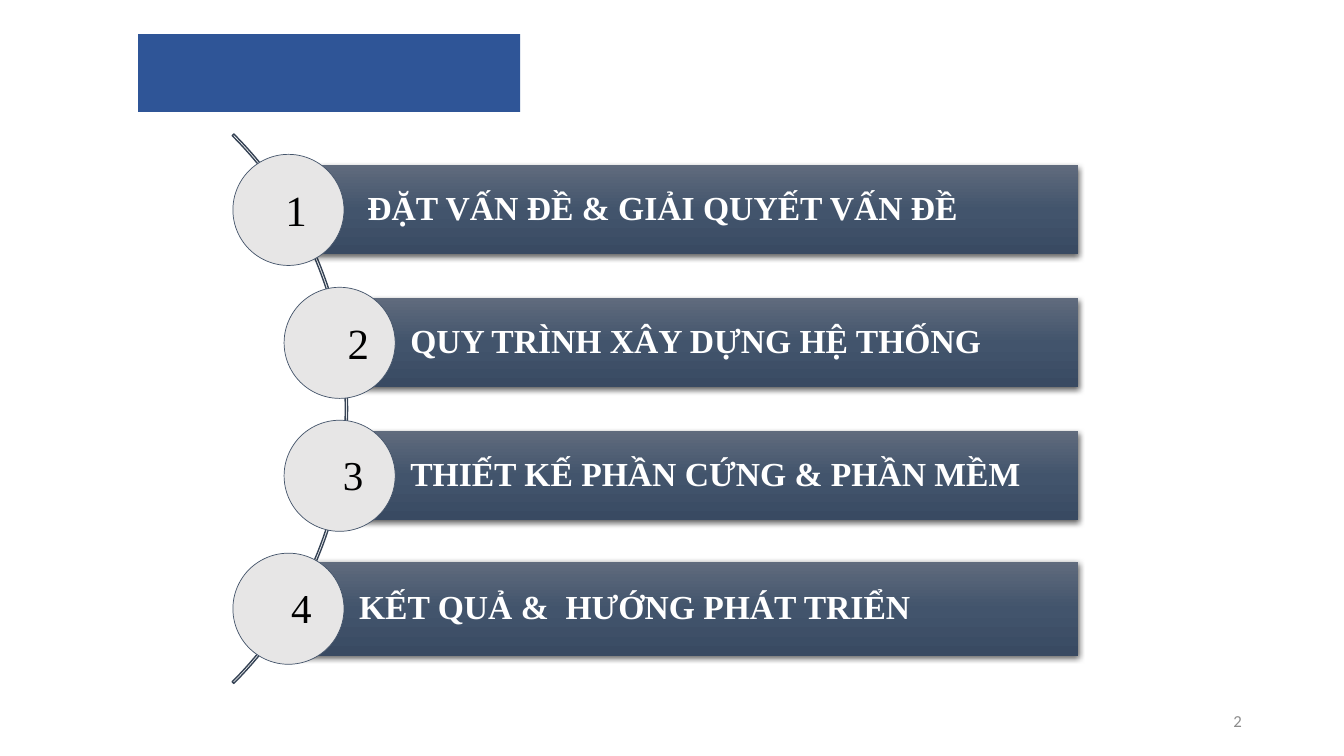
from copy import deepcopy
from dataclasses import dataclass

from lxml.etree import SubElement
from pptx import Presentation
from pptx.dml.color import RGBColor
from pptx.enum.shapes import MSO_SHAPE as Preset
from pptx.enum.text import MSO_ANCHOR as Anchor, PP_ALIGN as Align
from pptx.oxml.ns import qn
from pptx.util import Cm, Pt

AGENDA = [
    dict(number="1", text=" ĐẶT VẤN ĐỀ & GIẢI QUYẾT VẤN ĐỀ", circle_left=5.87,
         bar_height=2.24, number_left=6.86, number_width=1.7, number_size=30.7),
    dict(number="2", text="QUY TRÌNH XÂY DỰNG HỆ THỐNG", circle_left=7.16,
         bar_height=2.24, number_left=8.43, number_width=1.52, number_size=30.7),
    dict(number="3", text="THIẾT KẾ PHẦN CỨNG & PHẦN MỀM", circle_left=7.16,
         bar_height=2.24, number_left=8.31, number_width=1.7, number_size=29.3),
    dict(number="4", text="KẾT QUẢ &  HƯỚNG PHÁT TRIỂN", circle_left=5.87,
         bar_height=2.36, number_left=7.01, number_width=1.3, number_size=29.3),
]
PAGE_NUMBER = "2"

HEADER_BOX = (3.48, 0.86, 9.63, 1.96)
ARC_BOX = (-10.82, 0.51, 19.58, 19.58)
ARC_ADJUSTMENTS = (189, 27, 0.003)
PAGE_BOX = (23.93, 17.65, 7.62, 1.02)
FIRST_TOP, PITCH, DIAMETER, BAR_RIGHT = 3.89, 3.35, 2.8, 27.17
NUMBER_OFFSET, NUMBER_HEIGHT = 0.4, 1.93


@dataclass(frozen=True)
class Theme:
    serif: str = "Times New Roman"
    sans: str = "Calibri"
    header: str = "2F5597"
    arc: str = "364355"
    circle: str = "E7E6E6"
    outline: str = "44546A"
    bar_stops: tuple = ((0, "606B7D"), (0.5, "42546C"), (1, "394A62"))
    shadow: str = "000000"
    bar_text: str = "FFFFFF"
    number: str = "000000"
    page: str = "8C8C8C"
    bar_size: float = 24
    page_size: float = 12


THEME = Theme()


def color(value):
    return RGBColor.from_string(value)


def apply(target, values):
    for name, value in values.items():
        setattr(target, name, value)


def add_preset(slide, preset, box, fill=None, line=None, line_width=1):
    shape = slide.shapes.add_shape(preset, *map(Cm, box))
    shape.shadow.inherit = False
    if fill:
        shape.fill.solid()
        shape.fill.fore_color.rgb = color(fill)
    else:
        shape.fill.background()
    if line:
        shape.line.color.rgb = color(line)
        shape.line.width = Pt(line_width)
    else:
        shape.line.fill.background()
    return shape


def write(shape, text, insets, font, anchor=Anchor.TOP, align=Align.LEFT, spacing=1.0):
    sides = ("margin_left", "margin_top", "margin_right", "margin_bottom")
    frame = shape.text_frame
    apply(frame, dict(zip(sides, map(Cm, insets)), word_wrap=True, vertical_anchor=anchor))
    paragraph = frame.paragraphs[0]
    apply(paragraph, dict(alignment=align, line_spacing=spacing))
    run = paragraph.add_run()
    run.text = text
    name, size, tint, bold = font
    apply(run.font, dict(name=name, size=Pt(size), bold=bold))
    run.font.color.rgb = color(tint)


def shade(bar):
    bar.fill.gradient()
    bar.fill.gradient_angle = 270
    stops = bar.element.spPr.find(".//" + qn("a:gsLst"))
    stops.append(deepcopy(stops[0]))
    for stop, (position, tint) in zip(bar.fill.gradient_stops, THEME.bar_stops):
        stop.color.rgb = color(tint)
        stop.position = position


def cast_shadow(bar):
    effects = bar.element.spPr.find(qn("a:effectLst"))
    shadow = SubElement(effects, qn("a:outerShdw"), blurRad=str(Pt(4.5)),
                        dist=str(Pt(1.5)), dir="5400000", algn="ctr", rotWithShape="0")
    tint = SubElement(shadow, qn("a:srgbClr"), val=THEME.shadow)
    SubElement(tint, qn("a:alpha"), val="63000")


def add_agenda_item(slide, index, item):
    top = FIRST_TOP + index * PITCH
    left, height = item["circle_left"], item["bar_height"]
    bar_left = left + DIAMETER / 2
    bar_top = top + (DIAMETER - height) / 2
    bar = add_preset(slide, Preset.RECTANGLE, (bar_left, bar_top, BAR_RIGHT - bar_left, height))
    shade(bar)
    cast_shadow(bar)
    write(bar, item["text"], (1.78, 0.18, 0.18, 0.18),
          (THEME.serif, THEME.bar_size, THEME.bar_text, True), Anchor.MIDDLE, spacing=0.9)
    add_preset(slide, Preset.OVAL, (left, top, DIAMETER, DIAMETER),
               THEME.circle, THEME.outline, 0.5)
    number_box = (item["number_left"], top + NUMBER_OFFSET, item["number_width"], NUMBER_HEIGHT)
    write(slide.shapes.add_textbox(*map(Cm, number_box)), item["number"], (0.33,) * 4,
          (THEME.serif, item["number_size"], THEME.number, False))


def main():
    presentation = Presentation()
    apply(presentation, dict(slide_width=Cm(33.87), slide_height=Cm(19.05)))
    slide = presentation.slides.add_slide(presentation.slide_layouts[6])

    arc = add_preset(slide, Preset.BLOCK_ARC, ARC_BOX, line=THEME.arc)
    for index, value in enumerate(ARC_ADJUSTMENTS):
        arc.adjustments[index] = value

    for index, item in enumerate(AGENDA):
        add_agenda_item(slide, index, item)

    add_preset(slide, Preset.RECTANGLE, HEADER_BOX, THEME.header)
    write(slide.shapes.add_textbox(*map(Cm, PAGE_BOX)), PAGE_NUMBER, (0.25, 0.13, 0.25, 0.13),
          (THEME.sans, THEME.page_size, THEME.page, False), Anchor.MIDDLE, Align.RIGHT)
    presentation.save("out.pptx")


if __name__ == "__main__":
    main()
